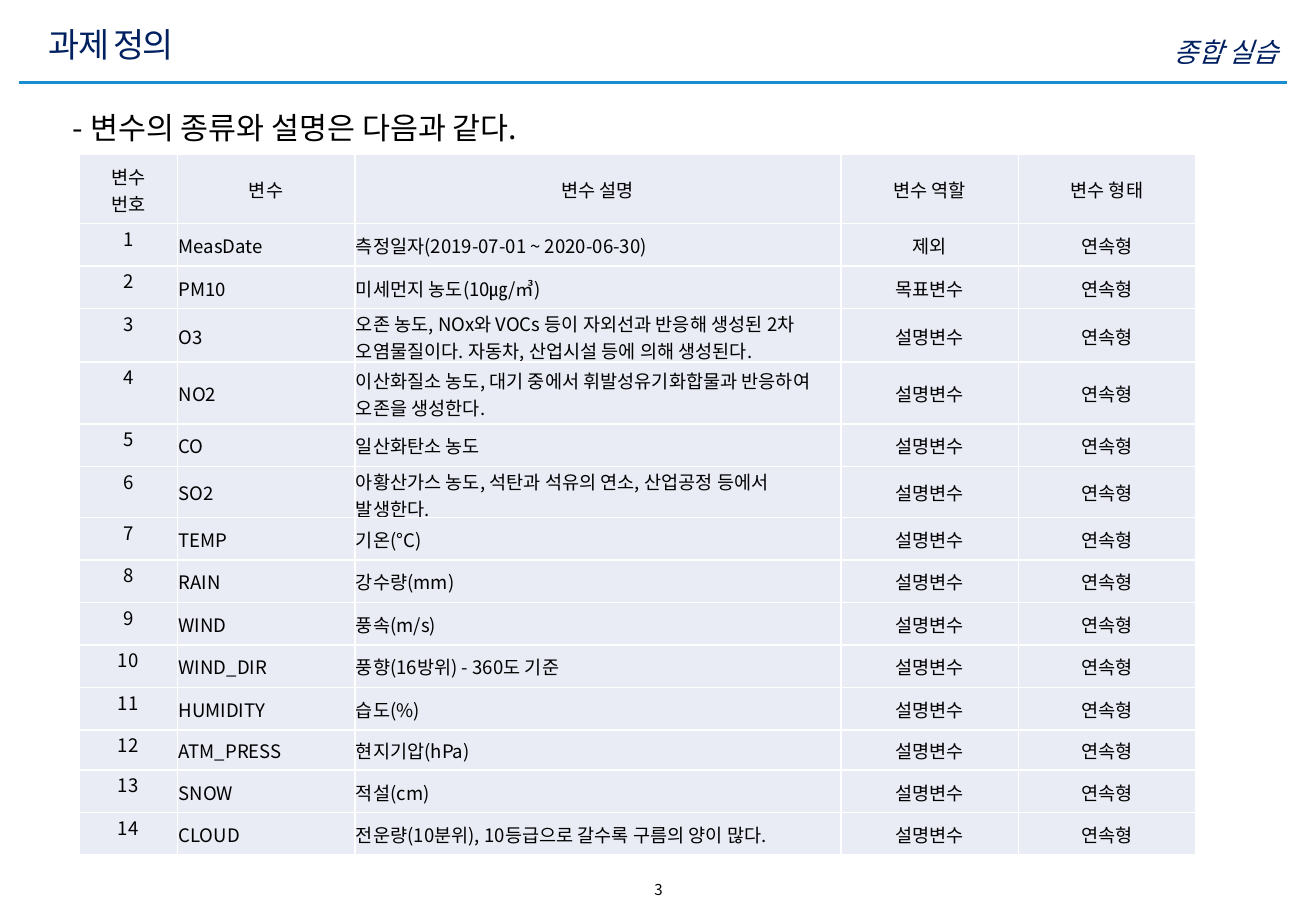
from pptx import Presentation
from pptx import util as u
from pptx.dml.color import RGBColor
from pptx.enum import shapes, text
from pptx.oxml import parse_xml
from pptx.oxml.ns import nsdecls
from lxml import etree

PX = 9144  # 100 px to the inch
THEME = {
    "font": "Noto Sans CJK KR",
    "navy": "002060", "black": "000000", "blue": "188DD0",
    "pale": "E9EBF5", "white": "FFFFFF",
    "title": 20, "tag": 16, "lead": 18, "cell": 11, "page": 8.9,
}
LEFT, MID, RIGHT = text.PP_ALIGN.LEFT, text.PP_ALIGN.CENTER, text.PP_ALIGN.RIGHT
TOP, CENTRE = text.MSO_ANCHOR.TOP, text.MSO_ANCHOR.MIDDLE


def write(frame, words, size, color, align=LEFT, anchor=TOP):
    """Fill a text frame with one styled paragraph and return it."""
    frame.word_wrap = True
    frame.vertical_anchor = anchor
    para = frame.paragraphs[0]
    para.text = words
    para.alignment = align
    font = para.font
    font.name = THEME["font"]
    font.size = u.Pt(THEME[size])
    font.color.rgb = RGBColor.from_string(THEME[color])
    east = parse_xml(f'<a:ea {nsdecls("a")} typeface="{THEME["font"]}"/>')
    para._p.pPr.find("{*}defRPr").find("{*}latin").addnext(east)
    return para


def place(shape, *box):
    shape.left, shape.top, shape.width, shape.height = (n * PX for n in box)


deck = Presentation()
deck.slide_width, deck.slide_height = 1083 * PX, 750 * PX
slide = deck.slides.add_slide(deck.slide_layouts[1])
items = slide.shapes

# Header rule
rule = items.add_connector(
    shapes.MSO_CONNECTOR.STRAIGHT, 16 * PX, 68 * PX, 1059 * PX, 68 * PX)
rule.line.color.rgb = RGBColor.from_string(THEME["blue"])
rule.line.width = u.Pt(2)
etree.SubElement(rule._element.spPr, "{%s}effectLst" % rule._element.nsmap["a"])

# Title, section tag, lead sentence and page number
title = items.title
place(title, 30, 14, 851, 44)
para = write(title.text_frame, "과제 정의", "title", "navy", LEFT, CENTRE)
para._p.pPr.find("{*}defRPr").set("spc", "-100")

tag = items.add_textbox(655 * PX, 24 * PX, 407 * PX, 30 * PX)
write(tag.text_frame, "종합 실습", "tag", "navy", RIGHT).font.italic = True

lead = slide.placeholders[1]
place(lead, 50, 85, 968, 40)
para = write(lead.text_frame, "- 변수의 종류와 설명은 다음과 같다.", "lead", "black")
para.space_before = u.Pt(0)
props = para._p.pPr
props.set("marL", "0")
props.set("indent", "0")
props.find("{*}defRPr").addprevious(parse_xml(f'<a:buNone {nsdecls("a")}/>'))

for shape in (title, lead):
    shape.text_frame.auto_size = text.MSO_AUTO_SIZE.SHAPE_TO_FIT_TEXT

page = items.add_textbox(439 * PX, 720 * PX, 206 * PX, 25 * PX)
write(page.text_frame, "3", "page", "black", MID)

# Table of variables: name, meaning, row height
HEAD = ("변수\n번호", "변수", "변수 설명", "변수 역할", "변수 형태")
ROLES = {"MeasDate": "제외", "PM10": "목표변수"}
VARS = [
    ("MeasDate", "측정일자(2019-07-01 ~ 2020-06-30)", 35),
    ("PM10", "미세먼지 농도(10㎍/㎥)", 35),
    ("O3", "오존 농도, NOx와 VOCs 등이 자외선과 반응해 생성된 2차 "
           "오염물질이다. 자동차, 산업시설 등에 의해 생성된다.", 44),
    ("NO2", "이산화질소 농도, 대기 중에서 휘발성유기화합물과 반응하여 "
            "오존을 생성한다.", 51),
    ("CO", "일산화탄소 농도", 35),
    ("SO2", "아황산가스 농도, 석탄과 석유의 연소, 산업공정 등에서 발생한다.", 42),
    ("TEMP", "기온(°C)", 35),
    ("RAIN", "강수량(mm)", 35),
    ("WIND", "풍속(m/s)", 35),
    ("WIND_DIR", "풍향(16방위) - 360도 기준", 35),
    ("HUMIDITY", "습도(%)", 35),
    ("ATM_PRESS", "현지기압(hPa)", 33),
    ("SNOW", "적설(cm)", 35),
    ("CLOUD", "전운량(10분위), 10등급으로 갈수록 구름의 양이 많다.", 35),
]
rows = [HEAD] + [
    (str(n), name, note, ROLES.get(name, "설명변수"), "연속형")
    for n, (name, note, _) in enumerate(VARS, 1)]
highs = [57] + [high for *_, high in VARS]
wides = (81, 146, 400, 146, 146)

table = items.add_table(len(rows), len(HEAD), 65 * PX, 127 * PX,
                        sum(wides) * PX, sum(highs) * PX).table
table.first_row = table.horz_banding = False
for col, wide in zip(table.columns, wides):
    col.width = wide * PX
for row, high in zip(table.rows, highs):
    row.height = high * PX

for r, row in enumerate(rows):
    for c, words in enumerate(row):
        cell = table.cell(r, c)
        write(cell.text_frame, words, "cell", "black",
              LEFT if r and c in (1, 2) else MID)
        cell.vertical_anchor = TOP if r and c == 0 else CENTRE
        cell.margin_left = cell.margin_right = cell.margin_top = PX
        cell.margin_bottom = 0
        for side in "LRTB":
            cell._tc.get_or_add_tcPr().append(parse_xml(
                f'<a:ln{side} {nsdecls("a")} w="12700"><a:solidFill>'
                f'<a:srgbClr val="{THEME["white"]}"/></a:solidFill></a:ln{side}>'))
        cell.fill.solid()
        cell.fill.fore_color.rgb = RGBColor.from_string(THEME["pale"])

deck.save("out.pptx")
